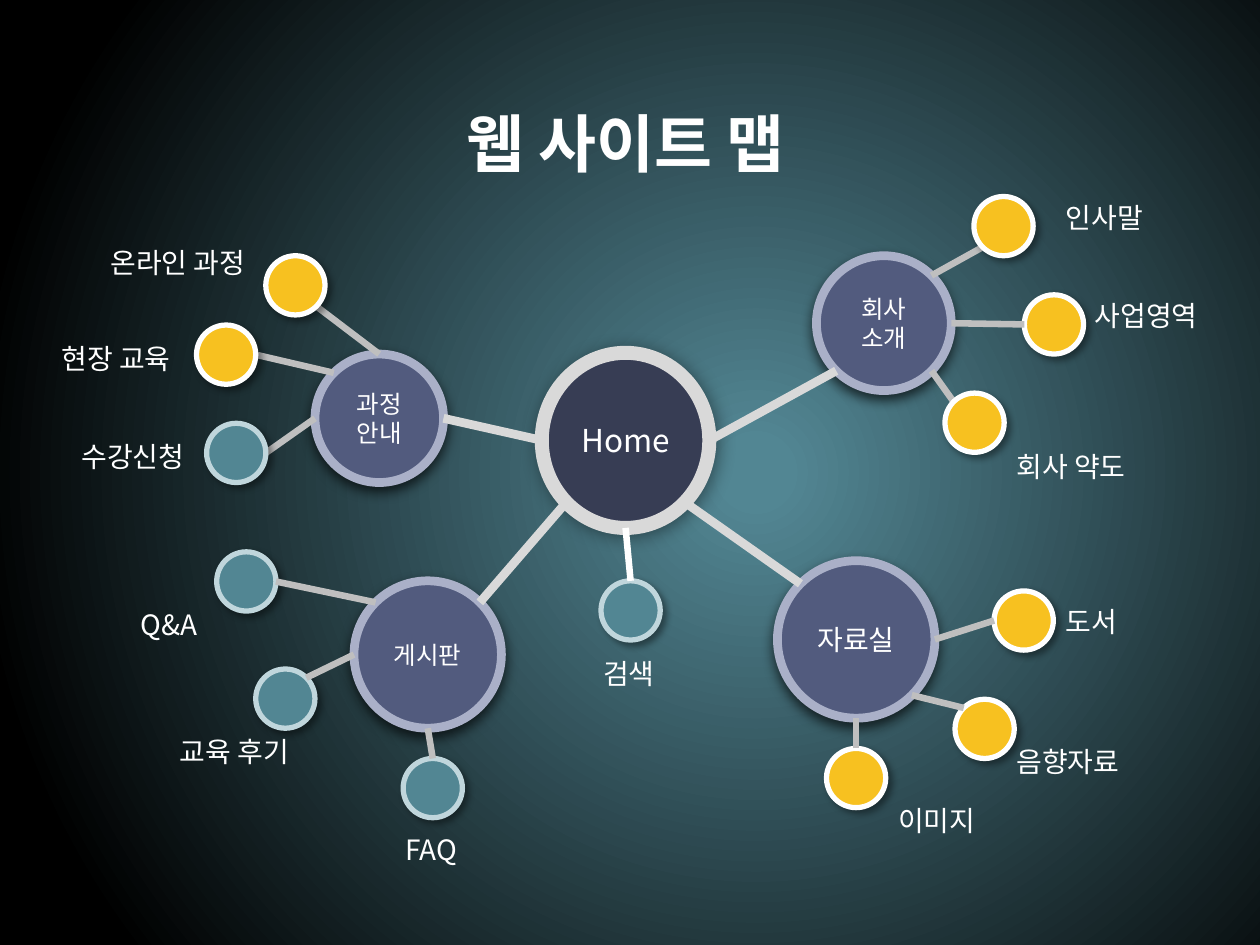
import math
from dataclasses import dataclass

import lxml.etree
import pptx
import pptx.dml.color
import pptx.enum.shapes
import pptx.enum.text
import pptx.oxml
import pptx.oxml.ns
import pptx.util

Inches = pptx.util.Inches
FONT = "Noto Sans CJK KR"
NAMESPACE = pptx.oxml.ns.nsdecls("a")
COLORS = {
    "white": "FFFFFF", "black": "000000", "navy": "373D54", "indigo": "525B7E",
    "lavender": "AAB0C8", "silver": "D9D9D9", "gray": "BFBFBF",
    "yellow": "F7C120", "teal": "528693", "pale teal": "C0D6DC",
}
COMPASS = {name: math.radians(45 * step) for step, name in
           enumerate(["E", "SE", "S", "SW", "W", "NW", "N", "NE"])}
DOT_SIZE = 0.47


@dataclass
class Shadow:
    opacity: int
    blur: int
    distance: int
    angle: int


@dataclass
class Style:
    fill: str
    outline: str
    outline_width: float
    shadow: Shadow


@dataclass
class Circle:
    left: float
    top: float
    width: float
    height: float
    text: str = ""
    text_size: int = 14

    def edge(self, direction: str) -> tuple[float, float]:
        """Point on the outline in a compass direction."""
        angle = COMPASS[direction]
        return (self.left + self.width / 2 * (1 + math.cos(angle)),
                self.top + self.height / 2 * (1 + math.sin(angle)))


@dataclass
class Hub:
    circle: Circle
    side: str
    home_side: str


@dataclass
class Page:
    """A leaf of the site map: its dot, its label and the link to its parent."""
    label: str
    label_at: tuple[float, float]
    dot_at: tuple[float, float]
    style: str
    side: str
    parent: str
    parent_side: str
    link_on_top: bool = True
    link_color: str = "gray"
    label_width: float = 1.41


DOT_SHADOW = Shadow(40, 4, 3, 45)
STYLES = {
    "home": Style("navy", "silver", 8, Shadow(40, 10, 2, 45)),
    "hub": Style("indigo", "lavender", 5, Shadow(66, 7, 3, 90)),
    "yellow": Style("yellow", "white", 3, DOT_SHADOW),
    "teal": Style("teal", "pale teal", 3, DOT_SHADOW),
}
HOME = Circle(4.3, 2.8, 1.33, 1.39, "Home", 18)
HUBS = {
    "courses": Hub(Circle(2.5, 2.81, 1.02, 1.02, "과정\v안내"), "E", "W"),
    "board": Hub(Circle(2.81, 4.61, 1.17, 1.17, "게시판"), "NE", "SW"),
    "company": Hub(Circle(6.48, 2.03, 1.07, 1.07, "회사\v소개"), "SW", "E"),
    "library": Hub(Circle(6.17, 4.45, 1.25, 1.25, "자료실", 16), "NW", "SE"),
}
PAGES = [
    Page("음향자료", (7.97, 5.86), (7.58, 5.55), "yellow", "NW", "library", "SE"),
    Page("도서", (8.36, 4.75), (7.89, 4.69), "yellow", "W", "library", "E"),
    Page("이미지", (7.03, 6.33), (6.56, 5.94), "yellow", "N", "library", "S"),
    Page("Q&A", (1.02, 4.77), (1.72, 4.38), "teal", "E", "board", "NW"),
    Page("교육 후기", (1.33, 5.78), (2.03, 5.31), "teal", "NE", "board", "W"),
    Page("FAQ", (3.12, 6.56), (3.2, 6.02), "teal", "N", "board", "S", label_width=1.09),
    Page("온라인 과정", (0.78, 1.9), (2.11, 2.03), "yellow", "SE", "courses", "N", False),
    Page("현장 교육", (0.39, 2.66), (1.56, 2.58), "yellow", "E", "courses", "NW", False),
    Page("수강신청", (0.55, 3.44), (1.64, 3.36), "teal", "E", "courses", "W", False,
         label_width=1.17),
    Page("인사말", (8.36, 1.54), (7.73, 1.56), "yellow", "SW", "company", "NE", False),
    Page("회사 약도", (7.97, 3.52), (7.5, 3.12), "yellow", "NW", "company", "SE", False),
    Page("사업영역", (8.59, 2.32), (8.13, 2.34), "yellow", "W", "company", "E"),
    Page("검색", (4.69, 5.16), (4.77, 4.61), "teal", "N", "home", "S", link_color="white"),
]


def rgb(name: str) -> pptx.dml.color.RGBColor:
    return pptx.dml.color.RGBColor.from_string(COLORS[name])


def write_text(frame, text: str, size: int, centered: bool = False, bold: bool = False) -> None:
    frame.word_wrap = True
    para = frame.paragraphs[0]
    para.text = text
    para.alignment = (pptx.enum.text.PP_ALIGN.CENTER if centered
                      else pptx.enum.text.PP_ALIGN.LEFT)
    for span in para.runs:
        span.font.size = pptx.util.Pt(size)
        span.font.name = FONT
        span.font.bold = bold
        span.font.color.rgb = rgb("white")
        east_asian = lxml.etree.SubElement(span.font._element, pptx.oxml.ns.qn("a:ea"))
        east_asian.set("typeface", FONT)


def paint_background(slide) -> None:
    """Fill the slide with a circular gradient centred right of the middle."""
    slide.background.fill.solid()
    properties = slide.background._cSld.bg.bgPr
    gradient = pptx.oxml.parse_xml(
        f'<a:gradFill {NAMESPACE} rotWithShape="1"><a:gsLst>'
        f'<a:gs pos="4000"><a:srgbClr val="{COLORS["teal"]}"/></a:gs>'
        f'<a:gs pos="100000"><a:srgbClr val="{COLORS["black"]}"/></a:gs></a:gsLst>'
        '<a:path path="circle"><a:fillToRect l="60000" t="50000" r="40000" b="50000"/>'
        '</a:path></a:gradFill>')
    properties.replace(properties[0], gradient)


def add_circle(slide, circle: Circle, style: Style) -> None:
    shape = slide.shapes.add_shape(
        pptx.enum.shapes.MSO_SHAPE.OVAL, Inches(circle.left), Inches(circle.top),
        Inches(circle.width), Inches(circle.height))
    shape.fill.solid()
    shape.fill.fore_color.rgb = rgb(style.fill)
    shape.line.color.rgb = rgb(style.outline)
    shape.line.width = pptx.util.Pt(style.outline_width)
    shape.shadow.inherit = False
    shadow = style.shadow
    effects = shape._element.spPr.find(pptx.oxml.ns.qn("a:effectLst"))
    effects.append(pptx.oxml.parse_xml(
        f'<a:outerShdw {NAMESPACE} blurRad="{pptx.util.Pt(shadow.blur)}" '
        f'dist="{pptx.util.Pt(shadow.distance)}" dir="{shadow.angle * 60000}" '
        f'algn="ctr" rotWithShape="0"><a:srgbClr val="{COLORS["black"]}">'
        f'<a:alpha val="{shadow.opacity * 1000}"/></a:srgbClr></a:outerShdw>'))
    if circle.text:
        shape.text_frame.vertical_anchor = pptx.enum.text.MSO_ANCHOR.MIDDLE
        write_text(shape.text_frame, circle.text, circle.text_size, centered=True)


def add_link(slide, start: tuple[float, float], end: tuple[float, float],
             color: str, width: float) -> None:
    link = slide.shapes.add_connector(
        pptx.enum.shapes.MSO_CONNECTOR.STRAIGHT, *map(Inches, start + end))
    link.line.color.rgb = rgb(color)
    link.line.width = pptx.util.Pt(width)
    lxml.etree.SubElement(link._element.spPr, pptx.oxml.ns.qn("a:effectLst"))


def add_label(slide, text: str, left: float, top: float, width: float, height: float = 0.37,
              size: int = 16, centered: bool = False, bold: bool = False) -> None:
    box = slide.shapes.add_textbox(*map(Inches, (left, top, width, height)))
    write_text(box.text_frame, text, size, centered, bold)
    box.text_frame.auto_size = pptx.enum.text.MSO_AUTO_SIZE.SHAPE_TO_FIT_TEXT


def add_page(slide, page: Page, parent: Circle) -> None:
    dot = Circle(*page.dot_at, DOT_SIZE, DOT_SIZE)
    if page.link_on_top:
        add_circle(slide, dot, STYLES[page.style])
    add_link(slide, dot.edge(page.side), parent.edge(page.parent_side), page.link_color, 3.75)
    if not page.link_on_top:
        add_circle(slide, dot, STYLES[page.style])
    add_label(slide, page.label, *page.label_at, page.label_width)


def main() -> None:
    deck = pptx.Presentation()
    deck.slide_width, deck.slide_height = Inches(10), Inches(7.5)
    slide = deck.slides.add_slide(deck.slide_layouts[6])
    paint_background(slide)
    add_circle(slide, HOME, STYLES["home"])
    parents = {"home": HOME}
    for name, hub in HUBS.items():
        parents[name] = hub.circle
        add_circle(slide, hub.circle, STYLES["hub"])
        add_link(slide, hub.circle.edge(hub.side), HOME.edge(hub.home_side), "silver", 5)
    for page in PAGES:
        add_page(slide, page, parents[page.parent])
    add_label(slide, "웹 사이트 맵", 3.05, 0.78, 3.83, 0.71, 36, centered=True, bold=True)
    deck.save("out.pptx")


if __name__ == "__main__":
    main()
